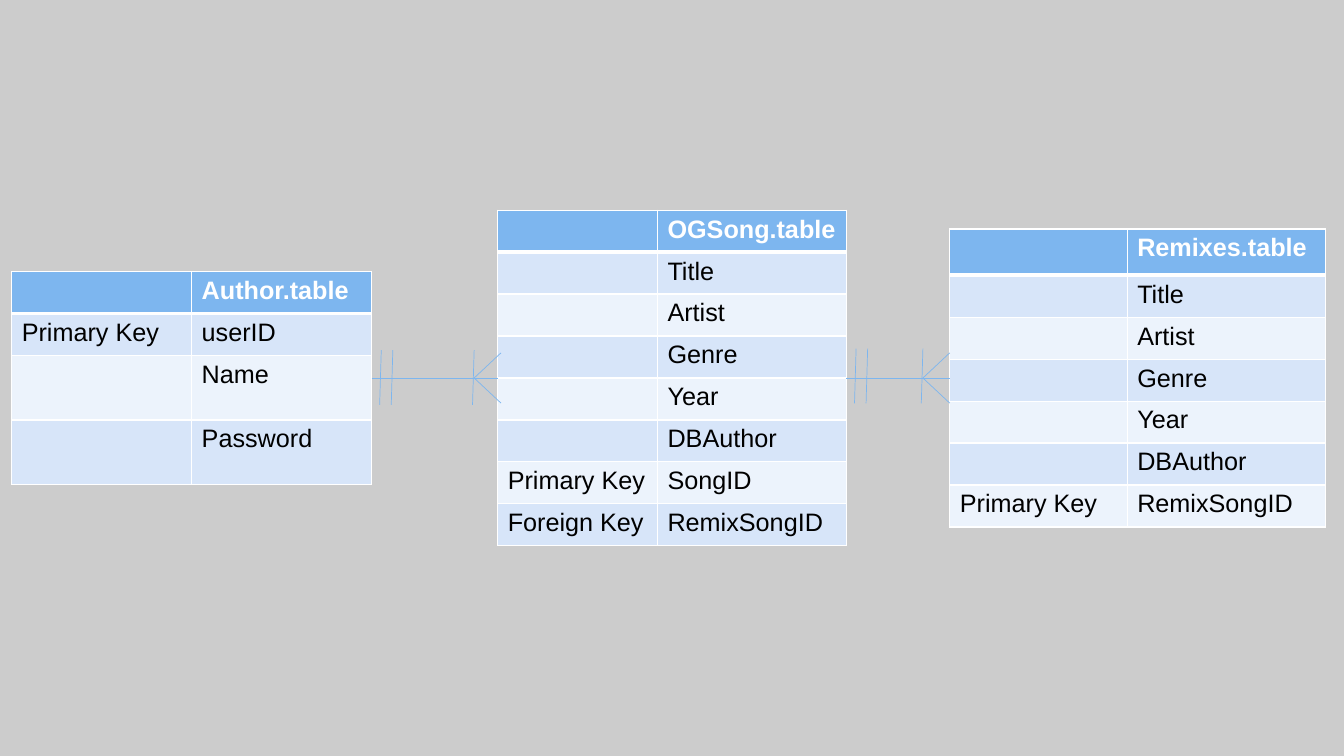
from lxml import etree
from pptx import Presentation
from pptx.dml.color import RGBColor
from pptx.enum.shapes import MSO_CONNECTOR
from pptx.oxml.ns import qn
from pptx.util import Inches, Pt

COLORS = {"background": "CCCCCC", "header": "7DB6EF", "odd": "D7E5F9",
          "even": "ECF3FC", "border": "FFFFFF", "text": "000000", "line": "7DB6EF"}
WIDTH, HEIGHT = Inches(13.33), Inches(7.5)
ROW, HEADER_ROW, TALL_ROW = 5.55, 6.13, 8.53
MIDDLE = 50

SONG_FIELDS = [("", name) for name in ("Title", "Artist", "Genre", "Year", "DBAuthor")]
AUTHOR = [("", "Author.table"), ("Primary Key", "userID"), ("", "Name"), ("", "Password")]
SONG = [("", "OGSong.table"), *SONG_FIELDS,
        ("Primary Key", "SongID"), ("Foreign Key", "RemixSongID")]
REMIXES = [("", "Remixes.table"), *SONG_FIELDS, ("Primary Key", "RemixSongID")]


def across(percent):
    return round(WIDTH * percent / 100)


def down(percent):
    return round(HEIGHT * percent / 100)


def color(name):
    return RGBColor.from_string(COLORS[name])


def add_borders(cell, bottom):
    properties = cell._tc.get_or_add_tcPr()
    sides = (("a:lnL", 1), ("a:lnR", 1), ("a:lnT", 1), ("a:lnB", bottom))
    for position, (tag, points) in enumerate(sides):
        border = etree.Element(qn(tag), w=str(Pt(points)))
        fill = etree.SubElement(border, qn("a:solidFill"))
        etree.SubElement(fill, qn("a:srgbClr"), val=COLORS["border"])
        properties.insert(position, border)


def style_cell(cell, text, row):
    header = row == 0
    cell.fill.solid()
    cell.fill.fore_color.rgb = color("header" if header else "odd" if row % 2 else "even")
    add_borders(cell, 3 if header else 1)
    if text:
        run = cell.text_frame.paragraphs[0].add_run()
        run.text = text
        run.font.name = "Arial"
        run.font.size = Pt(18)
        run.font.bold = header
        run.font.color.rgb = color("border" if header else "text")


def add_entity(slide, left, columns, heights, records):
    total = sum(heights)
    frame = slide.shapes.add_table(
        len(records), len(columns), across(left), down(MIDDLE - total / 2),
        across(sum(columns)), down(total))
    table = frame.table
    table.first_row = table.horz_banding = False
    for column, width in zip(table.columns, columns):
        column.width = across(width)
    for row, (height, record) in enumerate(zip(heights, records)):
        table.rows[row].height = down(height)
        for column, text in enumerate(record):
            style_cell(table.cell(row, column), text, row)
    return left + sum(columns)


def add_line(slide, x1, y1, x2, y2):
    line = slide.shapes.add_connector(
        MSO_CONNECTOR.STRAIGHT, across(x1), down(y1), across(x2), down(y2))
    line.line.color.rgb = color("line")
    line.line.width = Pt(0.5)
    etree.SubElement(line._element.spPr, qn("a:effectLst"))


def add_one_to_many(slide, start, end, tip, bar_middle):
    foot = tip - 2
    add_line(slide, start, MIDDLE, end, MIDDLE)
    for spread in (3.33, -3.33):
        add_line(slide, foot, MIDDLE, tip, MIDDLE + spread)
    for bar in (start + 0.72, start + 1.58, foot):
        add_line(slide, bar, bar_middle - 3.63, bar - 0.12, bar_middle + 3.63)


def main():
    deck = Presentation()
    deck.slide_width, deck.slide_height = WIDTH, HEIGHT
    slide = deck.slides.add_slide(deck.slide_layouts[6])
    slide.background.fill.solid()
    slide.background.fill.fore_color.rgb = color("background")

    song_left, remixes_left = 37.03, 70.67
    author_right = add_entity(slide, 0.87, (13.39, 13.39),
                              (ROW, ROW, TALL_ROW, TALL_ROW), AUTHOR)
    song_right = add_entity(slide, song_left, (11.89, 14.06), [ROW] * len(SONG), SONG)
    add_entity(slide, remixes_left, (13.2, 14.78),
               [HEADER_ROW] + [ROW] * (len(REMIXES) - 1), REMIXES)

    add_one_to_many(slide, author_right, song_left, song_left + 0.25, 49.93)
    add_one_to_many(slide, song_right, remixes_left, remixes_left, 49.73)
    deck.save("out.pptx")


main()
